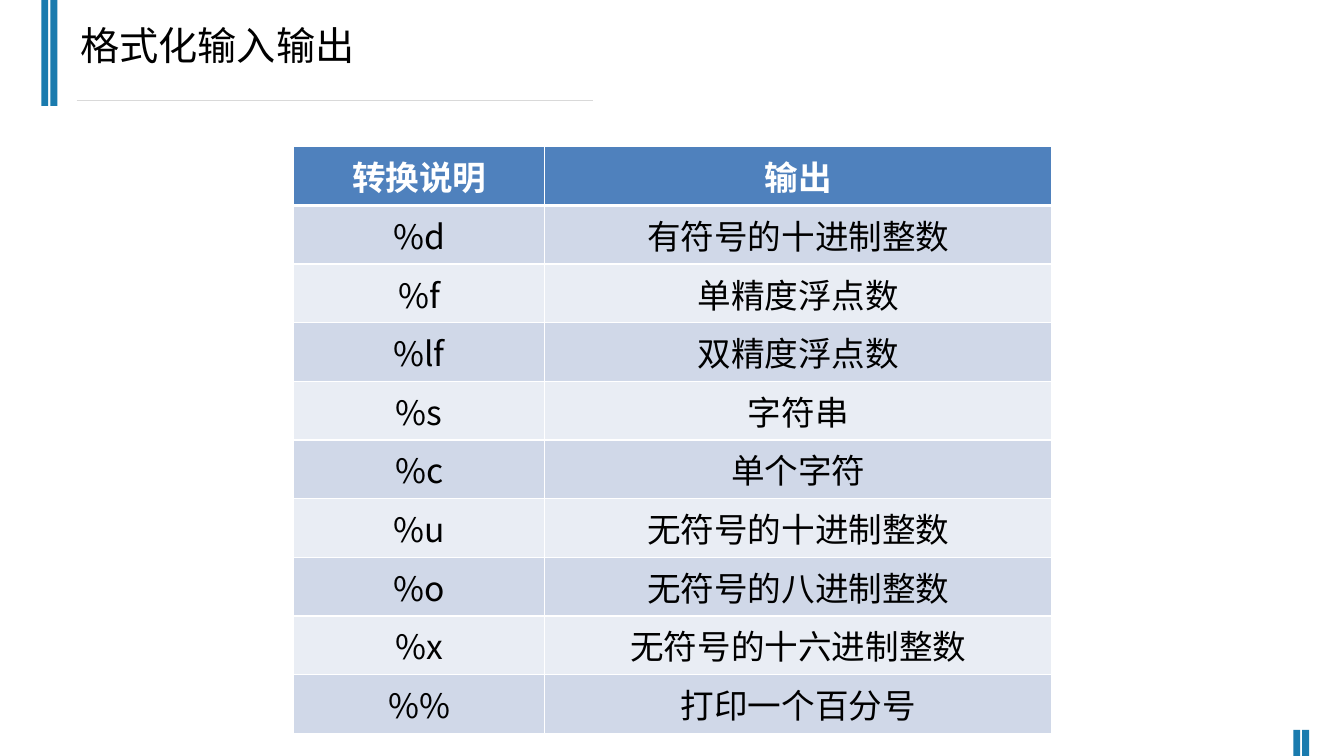
from pptx import Presentation
from pptx.dml.color import RGBColor
from pptx.enum.shapes import MSO_CONNECTOR, MSO_SHAPE
from pptx.enum.text import PP_ALIGN
from pptx.oxml.ns import qn
from pptx.util import Pt
from lxml import etree

RECTANGLE = MSO_SHAPE.RECTANGLE
STRAIGHT = MSO_CONNECTOR.STRAIGHT
CENTER = PP_ALIGN.CENTER

FONT = "Noto Sans CJK SC"
BLACK = RGBColor(0x00, 0x00, 0x00)
WHITE = RGBColor(0xFF, 0xFF, 0xFF)
ACCENT = RGBColor(0x1A, 0x7B, 0xAE)
RULE_GRAY = RGBColor(0xD9, 0xD9, 0xD9)
HEADER_BLUE = RGBColor(0x4F, 0x81, 0xBD)
BAND_DARK = RGBColor(0xD0, 0xD8, 0xE8)
BAND_LIGHT = RGBColor(0xE9, 0xED, 0xF4)

ROW_HEIGHT = 41.9
COLUMN_WIDTHS = [179.3, 362.2]
FORMATS = [
    ("转换说明", "输出"),
    ("%d", "有符号的十进制整数"),
    ("%f", "单精度浮点数"),
    ("%lf", "双精度浮点数"),
    ("%s", "字符串"),
    ("%c", "单个字符"),
    ("%u", "无符号的十进制整数"),
    ("%o", "无符号的八进制整数"),
    ("%x", "无符号的十六进制整数"),
    ("%%", "打印一个百分号"),
]


def style_text(paragraph, size, color, bold=False):
    for run in paragraph.runs:
        run.font.name = FONT
        run.font.size = Pt(size)
        run.font.bold = bold
        run.font.color.rgb = color
        east_asian = etree.SubElement(run.font._element, qn("a:ea"))
        east_asian.set("typeface", FONT)


def add_borders(cell, bottom_width):
    properties = cell._tc.get_or_add_tcPr()
    widths = {"lnL": 1, "lnR": 1, "lnT": 1, "lnB": bottom_width}
    for position, (side, width) in enumerate(widths.items()):
        border = etree.Element(qn(f"a:{side}"), w=str(Pt(width)))
        fill = etree.SubElement(border, qn("a:solidFill"))
        etree.SubElement(fill, qn("a:srgbClr"), val=str(WHITE))
        properties.insert(position, border)


prs = Presentation()
prs.slide_width = Pt(960)
prs.slide_height = Pt(540)
slide = prs.slides.add_slide(prs.slide_layouts[6])

for left, top, height in [(29.5, 0, 75.6), (36, 0, 75.6),
                          (923.8, 521.3, 18.7), (930.2, 521.3, 18.7)]:
    bar = slide.shapes.add_shape(RECTANGLE, Pt(left), Pt(top), Pt(5), Pt(height))
    bar.shadow.inherit = False
    bar.fill.solid()
    bar.fill.fore_color.rgb = ACCENT
    bar.line.fill.background()

title_rule = slide.shapes.add_connector(STRAIGHT, Pt(54.7), Pt(71.5), Pt(423.4), Pt(71.5))
title_rule.line.color.rgb = RULE_GRAY
title_rule.line.width = Pt(0.75)
etree.SubElement(title_rule._element.spPr, qn("a:effectLst"))

title = slide.shapes.add_textbox(Pt(50.4), Pt(15.8), Pt(640.8), Pt(53.3))
title.text_frame.word_wrap = True
title.text_frame.text = "格式化输入输出"
title_line = title.text_frame.paragraphs[0]
title_line.line_spacing = 0.9
style_text(title_line, 28, BLACK)

format_table = slide.shapes.add_table(
    len(FORMATS), len(COLUMN_WIDTHS), Pt(209.8), Pt(104.8),
    Pt(sum(COLUMN_WIDTHS)), Pt(ROW_HEIGHT * len(FORMATS))).table
for column, width in zip(format_table.columns, COLUMN_WIDTHS):
    column.width = Pt(width)

for row_index, entry in enumerate(FORMATS):
    format_table.rows[row_index].height = Pt(ROW_HEIGHT)
    is_header = row_index == 0
    band = BAND_DARK if row_index % 2 else BAND_LIGHT
    for column_index, wording in enumerate(entry):
        cell = format_table.cell(row_index, column_index)
        cell.fill.solid()
        cell.fill.fore_color.rgb = HEADER_BLUE if is_header else band
        add_borders(cell, 3 if is_header else 1)
        cell.text_frame.text = wording
        cell_line = cell.text_frame.paragraphs[0]
        cell_line.alignment = CENTER
        style_text(cell_line, 24, WHITE if is_header else BLACK, is_header)

prs.save("out.pptx")
